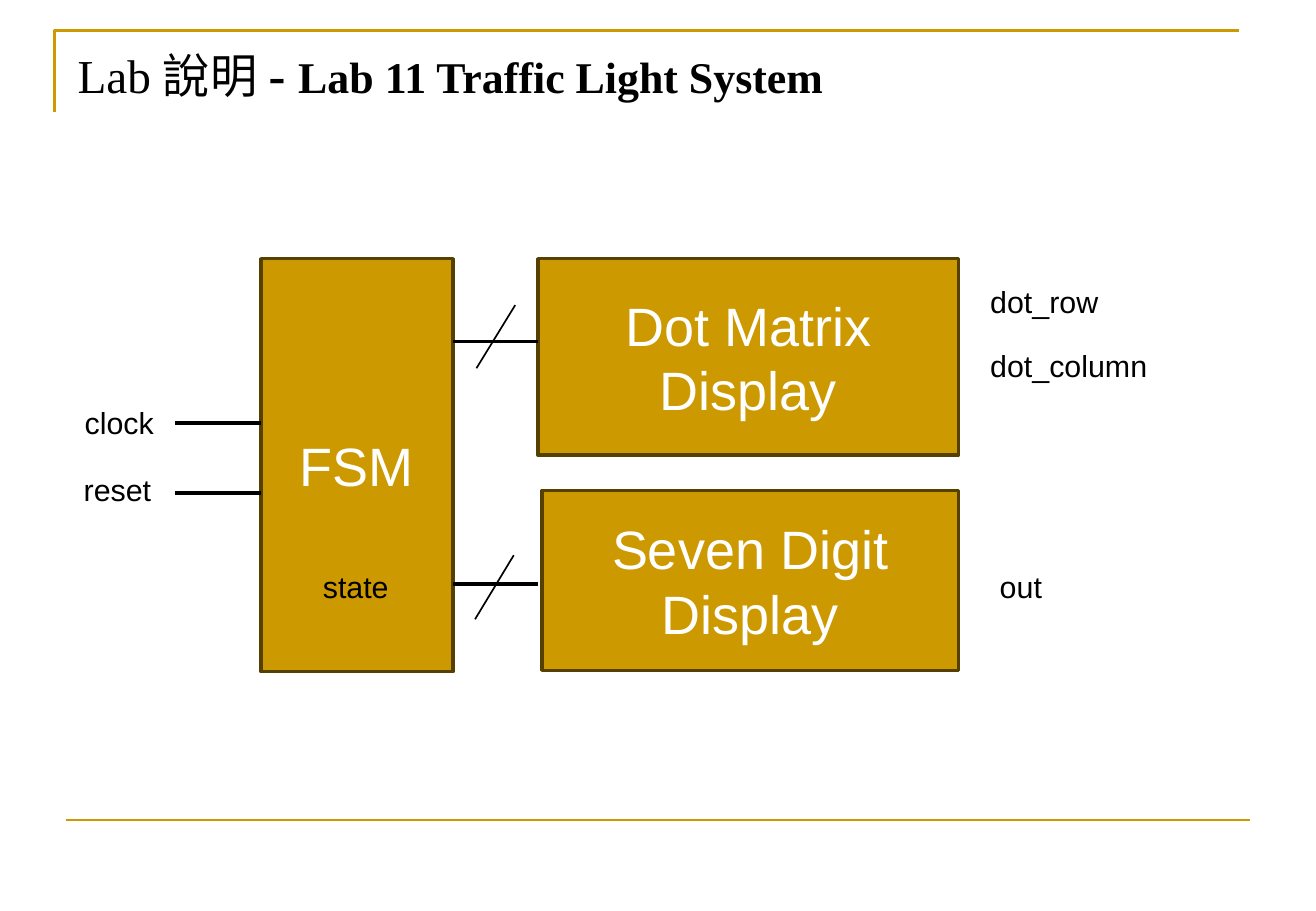
from typing import NamedTuple

from lxml import etree
from pptx import Presentation
from pptx.dml.color import RGBColor
from pptx.enum.shapes import MSO_CONNECTOR, MSO_SHAPE
from pptx.enum.text import MSO_ANCHOR, MSO_AUTO_SIZE, PP_ALIGN
from pptx.oxml.ns import qn
from pptx.slide import Slide
from pptx.util import Cm, Pt

GOLD = RGBColor(0xCC, 0x99, 0x00)
BROWN = RGBColor(0x56, 0x40, 0x00)
BLACK = RGBColor(0x00, 0x00, 0x00)
WHITE = RGBColor(0xFF, 0xFF, 0xFF)

STRAIGHT = MSO_CONNECTOR.STRAIGHT
RECTANGLE = MSO_SHAPE.RECTANGLE
MIDDLE, TOP = MSO_ANCHOR.MIDDLE, MSO_ANCHOR.TOP
CENTER, LEFT = PP_ALIGN.CENTER, PP_ALIGN.LEFT
NO_FIT, GROW = MSO_AUTO_SIZE.NONE, MSO_AUTO_SIZE.SHAPE_TO_FIT_TEXT

BLOCK_FONT = {"name": "Arial", "size": Pt(32)}
LABEL_FONT = {"name": "Arial", "size": Pt(18)}
LABEL_HEIGHT = 1.02


class Block(NamedTuple):
    lines: tuple[str, ...]
    left: float
    top: float
    width: float
    height: float


class Label(NamedTuple):
    text: str
    left: float
    top: float
    width: float


class Line(NamedTuple):
    start: tuple[float, float]
    end: tuple[float, float]
    weight: float
    color: RGBColor = BLACK


BLOCKS = [
    Block(("FSM",), 5.46, 5.41, 4.01, 8.64),
    Block(("Dot Matrix", "Display"), 11.25, 5.41, 8.79, 4.11),
    Block(("Seven Digit", "Display"), 11.33, 10.26, 8.71, 3.76),
]
LABELS = [
    Label("state", 6.5, 11.76, 1.91),
    Label("dot_row", 20.45, 5.79, 2.79),
    Label("dot_column", 20.45, 7.14, 3.84),
    Label("out", 20.65, 11.76, 1.4),
    Label("clock", 1.52, 8.33, 1.98),
    Label("reset", 1.5, 9.73, 1.93),
]
FOOTER_RULE = Line((1.37, 17.15), (26.14, 17.15), 1.5, GOLD)
BUSES = [Line((9.47, y), (11.25, y), 2.25) for y in (7.14, 12.22)]
INPUTS = [Line((3.66, y), (5.46, y), 2.25) for y in (8.84, 10.31)]
BUS_SLASHES = [
    Line((9.96, 7.7), (10.77, 6.38), 1),
    Line((9.93, 12.95), (10.74, 11.61), 1),
]
CORNER = [(1.14, 2.34), (1.14, 0.64), (25.91, 0.64)]
TITLE_RUNS = [
    ("Lab 說明", {"size": Pt(28), "bold": False}),
    (" - ", {"size": Pt(30), "bold": True}),
    ("Lab 11 Traffic Light System", {"size": Pt(26), "bold": True}),
]


def add_run(paragraph, text: str, color: RGBColor, font_format: dict) -> None:
    run = paragraph.add_run()
    run.text = text
    run.font.color.rgb = color
    for name, value in font_format.items():
        setattr(run.font, name, value)


def add_corner(slide: Slide) -> None:
    points = [(Cm(x), Cm(y)) for x, y in CORNER]
    builder = slide.shapes.build_freeform(*points[0])
    builder.add_line_segments(points[1:], close=False)
    corner = builder.convert_to_shape()
    corner.shadow.inherit = False
    corner.fill.background()
    corner.line.color.rgb = GOLD
    corner.line.width = Pt(1.5)


def add_line(slide: Slide, line: Line) -> None:
    ends = [Cm(value) for value in (*line.start, *line.end)]
    connector = slide.shapes.add_connector(STRAIGHT, *ends)
    connector.line.color.rgb = line.color
    connector.line.width = Pt(line.weight)
    etree.SubElement(connector.element.spPr, qn("a:effectLst"))


def add_title(slide: Slide) -> None:
    title = slide.shapes.title
    title.left, title.top, title.width, title.height = Cm(1.37), Cm(0.76), Cm(25.6), Cm(1.88)
    frame = title.text_frame
    frame.auto_size = NO_FIT
    frame.vertical_anchor = TOP
    paragraph = frame.paragraphs[0]
    paragraph.alignment = LEFT
    paragraph.space_before = Pt(5.6)
    for text, font_format in TITLE_RUNS:
        add_run(paragraph, text, BLACK, {"name": "Times New Roman", **font_format})


def add_block(slide: Slide, block: Block) -> None:
    box = [Cm(value) for value in (block.left, block.top, block.width, block.height)]
    shape = slide.shapes.add_shape(RECTANGLE, *box)
    shape.shadow.inherit = False
    shape.fill.solid()
    shape.fill.fore_color.rgb = GOLD
    shape.line.color.rgb = BROWN
    shape.line.width = Pt(2)
    frame = shape.text_frame
    frame.vertical_anchor = MIDDLE
    for index, text in enumerate(block.lines):
        paragraph = frame.add_paragraph() if index else frame.paragraphs[0]
        paragraph.alignment = CENTER
        add_run(paragraph, text, WHITE, BLOCK_FONT)


def add_label(slide: Slide, label: Label) -> None:
    box = [Cm(value) for value in (label.left, label.top, label.width, LABEL_HEIGHT)]
    frame = slide.shapes.add_textbox(*box).text_frame
    frame.word_wrap = False
    frame.auto_size = GROW
    add_run(frame.paragraphs[0], label.text, BLACK, LABEL_FONT)


def main() -> None:
    presentation = Presentation()
    presentation.slide_width, presentation.slide_height = Cm(27.51), Cm(19.05)
    slide = presentation.slides.add_slide(presentation.slide_layouts[5])
    add_corner(slide)
    add_title(slide)
    for block in BLOCKS:
        add_block(slide, block)
    for line in [FOOTER_RULE, *BUSES, *INPUTS, *BUS_SLASHES]:
        add_line(slide, line)
    for label in LABELS:
        add_label(slide, label)
    presentation.save("out.pptx")


if __name__ == "__main__":
    main()
